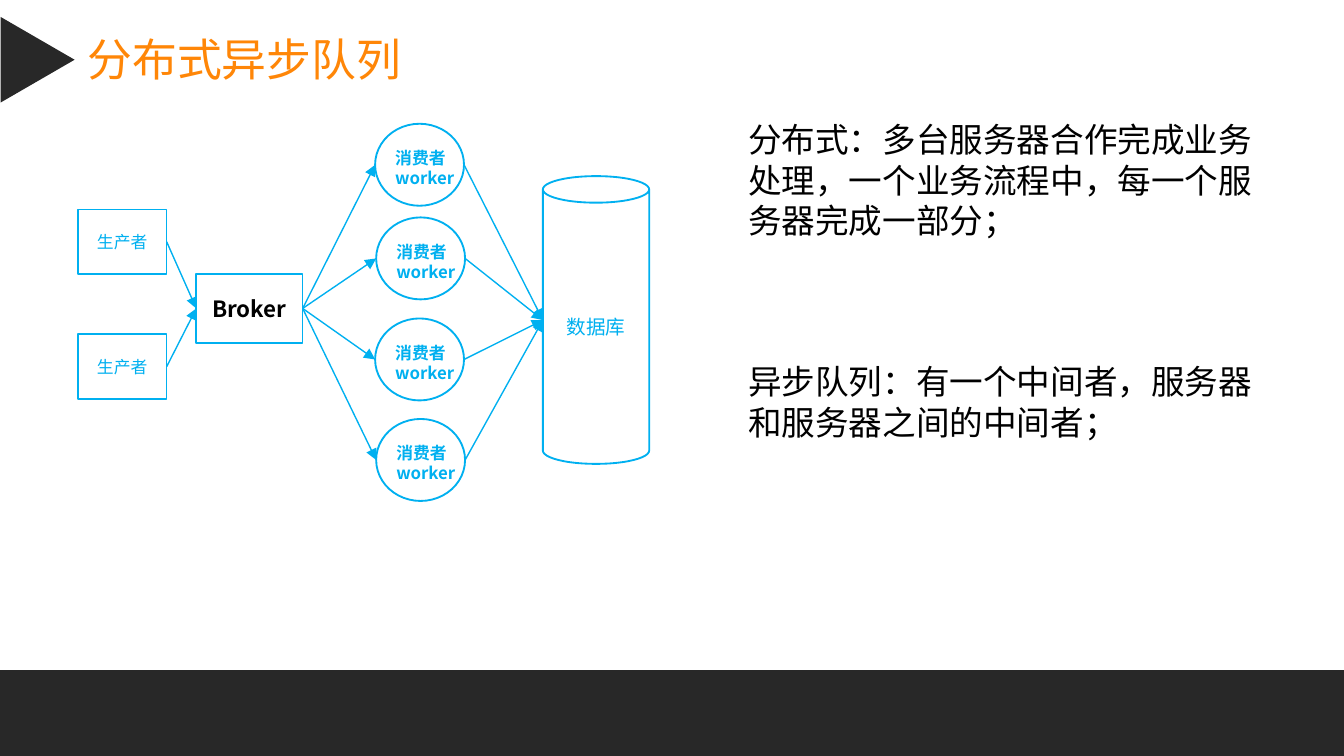
from dataclasses import dataclass

from lxml import etree
from pptx import Presentation
from pptx import util as u
from pptx.dml.color import RGBColor
from pptx.enum import shapes, text
from pptx.oxml import ns

BLUE, DARK, ORANGE, BLACK, WHITE = "00B0F0", "282828", "FF8607", "000000", "FFFFFF"
FONT = "Noto Sans CJK SC"
FORM = shapes.MSO_SHAPE


@dataclass(frozen=True)
class Box:
    """A rectangle in centimetres."""
    left: float
    top: float
    width: float
    height: float

    def lengths(self) -> list:
        return [u.Cm(value) for value in (self.left, self.top, self.width, self.height)]

    def left_middle(self) -> tuple[float, float]:
        return self.left, self.top + self.height / 2

    def right_middle(self) -> tuple[float, float]:
        return self.left + self.width, self.top + self.height / 2


def color(value: str) -> RGBColor:
    return RGBColor.from_string(value)


def write(shape, *lines: str, size: float, ink: str, bold: bool = False, font: str = FONT,
          align=text.PP_ALIGN.LEFT, anchor=text.MSO_ANCHOR.TOP, wrap: bool = True,
          spacing: float | None = None, gap: float = 0) -> None:
    frame = shape.text_frame
    frame.word_wrap = wrap
    frame.auto_size = text.MSO_AUTO_SIZE.NONE
    frame.vertical_anchor = anchor
    for index, line in enumerate(lines):
        paragraph = frame.add_paragraph() if index else frame.paragraphs[0]
        paragraph.alignment = align
        paragraph.space_before = u.Pt(gap if index else 0)
        if spacing:
            paragraph.line_spacing = u.Pt(spacing)
        run = paragraph.add_run()
        run.text = line
        run.font.size = u.Pt(size)
        run.font.bold = bold
        run.font.color.rgb = color(ink)
        run.font.name = font
        # East Asian characters take their font from a separate element
        etree.SubElement(run.font._element, ns.qn("a:ea"), typeface=FONT)


def draw_shape(parent, form, box: Box, fill: str | None = None, line: str | None = None):
    shape = parent.add_shape(form, *box.lengths())
    shape.shadow.inherit = False
    if fill:
        shape.fill.solid()
        shape.fill.fore_color.rgb = color(fill)
    else:
        shape.fill.background()
    if line:
        shape.line.color.rgb = color(line)
        shape.line.width = u.Pt(1)
    else:
        shape.line.fill.background()
    return shape


def draw_node(parent, form, box: Box, label: str, size: float, fill: str | None = WHITE,
              ink: str = BLUE, bold: bool = False) -> None:
    write(draw_shape(parent, form, box, fill, BLUE), label, size=size, ink=ink, bold=bold,
          align=text.PP_ALIGN.CENTER, anchor=text.MSO_ANCHOR.MIDDLE)


def draw_worker(parent, box: Box) -> None:
    group = parent.add_group_shape()
    draw_shape(group.shapes, FORM.OVAL, box, line=BLUE)
    label = Box(box.left + 0.13, box.top + 0.33, 1.88, 1.02)
    write(group.shapes.add_textbox(*label.lengths()), "消费者", "worker",
          size=9, ink=BLUE, bold=True, spacing=10.8)


def draw_arrow(parent, source: Box, target: Box) -> None:
    points = [u.Cm(value) for value in source.right_middle() + target.left_middle()]
    arrow = parent.add_connector(shapes.MSO_CONNECTOR.STRAIGHT, *points)
    arrow.line.color.rgb = color(BLUE)
    arrow.line.width = u.Pt(0.75)
    etree.SubElement(arrow.line._get_or_add_ln(), ns.qn("a:tailEnd"), type="triangle")
    etree.SubElement(arrow._element.spPr, ns.qn("a:effectLst"))


PRODUCERS = [Box(1.47, top, 1.68, 1.22) for top in (3.96, 6.32)]
BROKER = Box(3.71, 5.18, 2.01, 1.3)
WORKERS = [Box(left, top, 1.68, 1.55)
           for left, top in ((7.09, 2.34), (7.11, 4.11), (7.09, 6.02), (7.11, 7.92))]
DATABASE = Box(10.26, 3.33, 2.01, 5.44)


def main() -> None:
    presentation = Presentation()
    presentation.slide_width, presentation.slide_height = u.Cm(25.4), u.Cm(14.29)
    slide = presentation.slides.add_slide(presentation.slide_layouts[5])
    canvas = slide.shapes

    # Title, its marker and the bottom band
    title = canvas.title
    title.left, title.top, title.width, title.height = Box(1.4, 0.48, 6.6, 1.27).lengths()
    write(title, "分布式异步队列", size=24, ink=ORANGE, font="Arial Narrow", wrap=False)
    draw_shape(canvas, FORM.ISOSCELES_TRIANGLE, Box(-0.1, 0.43, 1.62, 1.4), DARK).rotation = 90
    draw_shape(canvas, FORM.RECTANGLE, Box(0, 12.67, 25.4, 1.62), DARK)

    # Queue diagram
    for producer in PRODUCERS:
        draw_node(canvas, FORM.RECTANGLE, producer, "生产者", 9)
        draw_arrow(canvas, producer, BROKER)
    draw_node(canvas, FORM.RECTANGLE, BROKER, "Broker", 12, ink=BLACK, bold=True)
    draw_node(canvas, FORM.CAN, DATABASE, "数据库", 10.5, fill=None)
    for worker in WORKERS:
        draw_worker(canvas, worker)
        draw_arrow(canvas, BROKER, worker)
        draw_arrow(canvas, worker, DATABASE)

    # Explanation
    write(canvas.add_textbox(*Box(13.89, 2.13, 10.39, 7.95).lengths()),
          "分布式：多台服务器合作完成业务处理，一个业务流程中，每一个服务器完成一部分；",
          "异步队列：有一个中间者，服务器和服务器之间的中间者；",
          size=18, ink=BLACK, spacing=21.6, gap=64.8)

    presentation.save("out.pptx")


if __name__ == "__main__":
    main()
